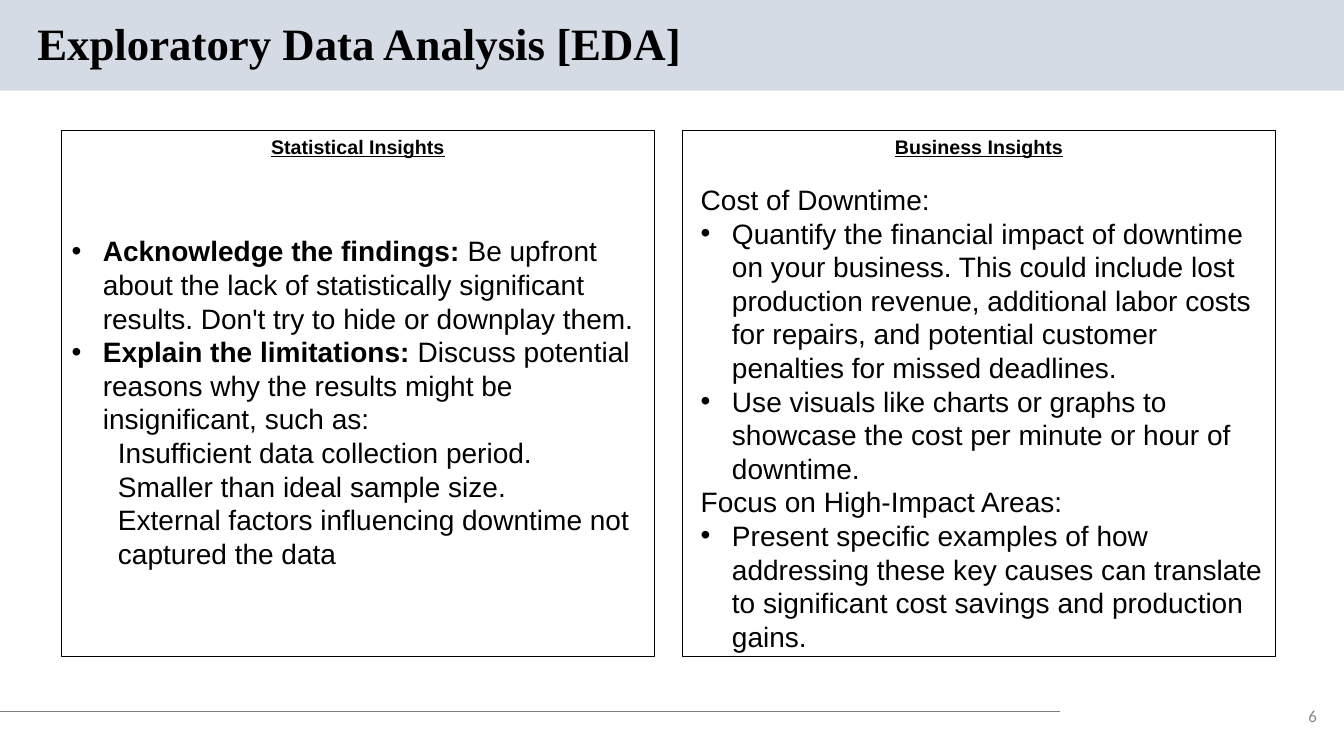
from dataclasses import dataclass

import pptx
import pptx.dml.color
import pptx.enum.shapes
import pptx.enum.text
import pptx.oxml.ns
import pptx.util
from lxml import etree
from pptx.util import Inches

ANCHOR = pptx.enum.text.MSO_ANCHOR
ALIGN = pptx.enum.text.PP_ALIGN


@dataclass(frozen=True)
class Theme:
    black: str = "000000"
    band: str = "D5DBE5"
    rule: str = "7F7F7F"
    number: str = "888888"
    title_font: str = "Times New Roman"
    body_font: str = "Arial"
    number_font: str = "Calibri"
    title_size: int = 32
    body_size: int = 20
    heading_size: int = 14
    number_size: int = 12
    line_width: float = 0.75


THEME = Theme()
HANG = 0.31
SUB_INDENT = 0.46

# Each paragraph: kind, bold lead-in, text
STATISTICAL = [
    ("bullet", "Acknowledge the findings:", " Be upfront about the lack of statistically "
     "significant results. Don't try to hide or downplay them."),
    ("bullet", "Explain the limitations:", " Discuss potential reasons why the results "
     "might be insignificant, such as:"),
    ("sub", "", "Insufficient data collection period."),
    ("sub", "", "Smaller than ideal sample size."),
    ("sub", "", "External factors influencing downtime not captured the data"),
]
BUSINESS = [
    ("plain", "", "Cost of Downtime:"),
    ("bullet", "", "Quantify the financial impact of downtime on your business. This could "
     "include lost production revenue, additional labor costs for repairs, and potential "
     "customer penalties for missed deadlines."),
    ("bullet", "", "Use visuals like charts or graphs to showcase the cost per minute or "
     "hour of downtime."),
    ("plain", "", "Focus on High-Impact Areas:"),
    ("bullet", "", "Present specific examples of how addressing these key causes can "
     "translate to significant cost savings and production gains."),
]


def rgb(color):
    return pptx.dml.color.RGBColor.from_string(color)


def place(sp, x, y, w, h):
    sp.left, sp.top, sp.width, sp.height = (Inches(v) for v in (x, y, w, h))


def style_run(r, font, size, color=THEME.black, bold=False, underline=False):
    r.font.name = font
    r.font.size = pptx.util.Pt(size)
    r.font.color.rgb = rgb(color)
    r.font.bold = bold
    r.font.underline = underline


def setup_frame(tf, anchor):
    tf.word_wrap = True
    tf.auto_size = pptx.enum.text.MSO_AUTO_SIZE.NONE
    tf.vertical_anchor = anchor
    tf.margin_left = tf.margin_right = Inches(0.1)
    tf.margin_top = tf.margin_bottom = Inches(0.05)


def set_text(sp, text, align, anchor, **style):
    tf = sp.text_frame
    tf.text = text
    setup_frame(tf, anchor)
    p = tf.paragraphs[0]
    p.alignment = align
    p.space_before = pptx.util.Pt(0)
    set_indent(p, 0, 0)
    style_run(p.runs[0], **style)


def set_indent(p, left, hang, bullet=None):
    pPr = p._p.get_or_add_pPr()
    pPr.set("marL", str(Inches(left)))
    pPr.set("indent", str(-Inches(hang)))
    qn = pptx.oxml.ns.qn
    if bullet:
        etree.SubElement(pPr, qn("a:buFont"), typeface=THEME.body_font)
        etree.SubElement(pPr, qn("a:buChar"), char=bullet)
    else:
        etree.SubElement(pPr, qn("a:buNone"))


def add_header(s, x, y, w, h):
    title = s.shapes.title
    band = s.shapes.add_shape(pptx.enum.shapes.MSO_SHAPE.RECTANGLE,
                              Inches(x), Inches(y), Inches(w), Inches(h))
    band.shadow.inherit = False
    band.fill.solid()
    band.fill.fore_color.rgb = rgb(THEME.band)
    band.line.fill.background()
    title.element.addprevious(band.element)
    place(title, x + 0.27, y + 0.16, 10.11, 0.59)
    set_text(title, "Exploratory Data Analysis [EDA]", ALIGN.LEFT, ANCHOR.MIDDLE,
             font=THEME.title_font, size=THEME.title_size, bold=True)
    title.text_frame.paragraphs[0].line_spacing = 0.9


def fill_list(tf, items):
    setup_frame(tf, ANCHOR.TOP)
    for i, (kind, lead, text) in enumerate(items):
        p = tf.add_paragraph() if i else tf.paragraphs[0]
        p.alignment = ALIGN.LEFT
        p.space_before = pptx.util.Pt(0)
        if kind == "bullet":
            set_indent(p, HANG, HANG, "•")
        else:
            set_indent(p, SUB_INDENT if kind == "sub" else 0, 0)
        for part, bold in ((lead, True), (text, False)):
            if part:
                r = p.add_run()
                r.text = part
                style_run(r, THEME.body_font, THEME.body_size, bold=bold)


def add_panel(s, box, heading, heading_idx, items, list_idx, list_offset, list_height):
    """Outlined box with an underlined heading and a list offset from its corner."""
    x, y, w, h = box
    frame = s.shapes.add_shape(pptx.enum.shapes.MSO_SHAPE.RECTANGLE,
                               *(Inches(v) for v in box))
    frame.shadow.inherit = False
    frame.fill.background()
    frame.line.color.rgb = rgb(THEME.black)
    frame.line.width = pptx.util.Pt(THEME.line_width)
    head = s.placeholders[heading_idx]
    head.element.addprevious(frame.element)
    place(head, x, y, w, 0.34)
    set_text(head, heading, ALIGN.CENTER, ANCHOR.TOP, font=THEME.body_font,
             size=THEME.heading_size, bold=True, underline=True)
    body = s.placeholders[list_idx]
    dx, dy = list_offset
    place(body, x + dx, y + dy, w, list_height)
    fill_list(body.text_frame, items)


def add_footer(s, x, y, w):
    rule = s.shapes.add_connector(pptx.enum.shapes.MSO_CONNECTOR.STRAIGHT,
                                  Inches(x), Inches(y), Inches(x + 10.51), Inches(y))
    rule.line.color.rgb = rgb(THEME.rule)
    rule.line.width = pptx.util.Pt(THEME.line_width)
    etree.SubElement(rule.element.spPr, pptx.oxml.ns.qn("a:effectLst"))
    number = s.shapes.add_textbox(Inches(x + w - 0.6), Inches(y - 0.12),
                                  Inches(0.43), Inches(0.32))
    set_text(number, "6", ALIGN.RIGHT, ANCHOR.MIDDLE, font=THEME.number_font,
             size=THEME.number_size, color=THEME.number)


def main():
    prs = pptx.Presentation()
    prs.slide_width, prs.slide_height = Inches(13.33), Inches(7.5)
    comparison = prs.slide_layouts.get_by_name("Comparison")
    s = prs.slides.add_slide(comparison)
    add_header(s, 0, 0, 13.33, 0.9)
    left, top, width, height, gap = 0.61, 1.29, 5.88, 5.22, 0.28
    add_panel(s, (left, top, width, height), "Statistical Insights", 1,
              STATISTICAL, 2, (0, 0.98), 3.47)
    add_panel(s, (left + width + gap, top, width, height), "Business Insights", 3,
              BUSINESS, 4, (0.08, 0.47), 4.81)
    add_footer(s, 0, 7.06, 13.33)
    prs.save("out.pptx")


if __name__ == "__main__":
    main()
